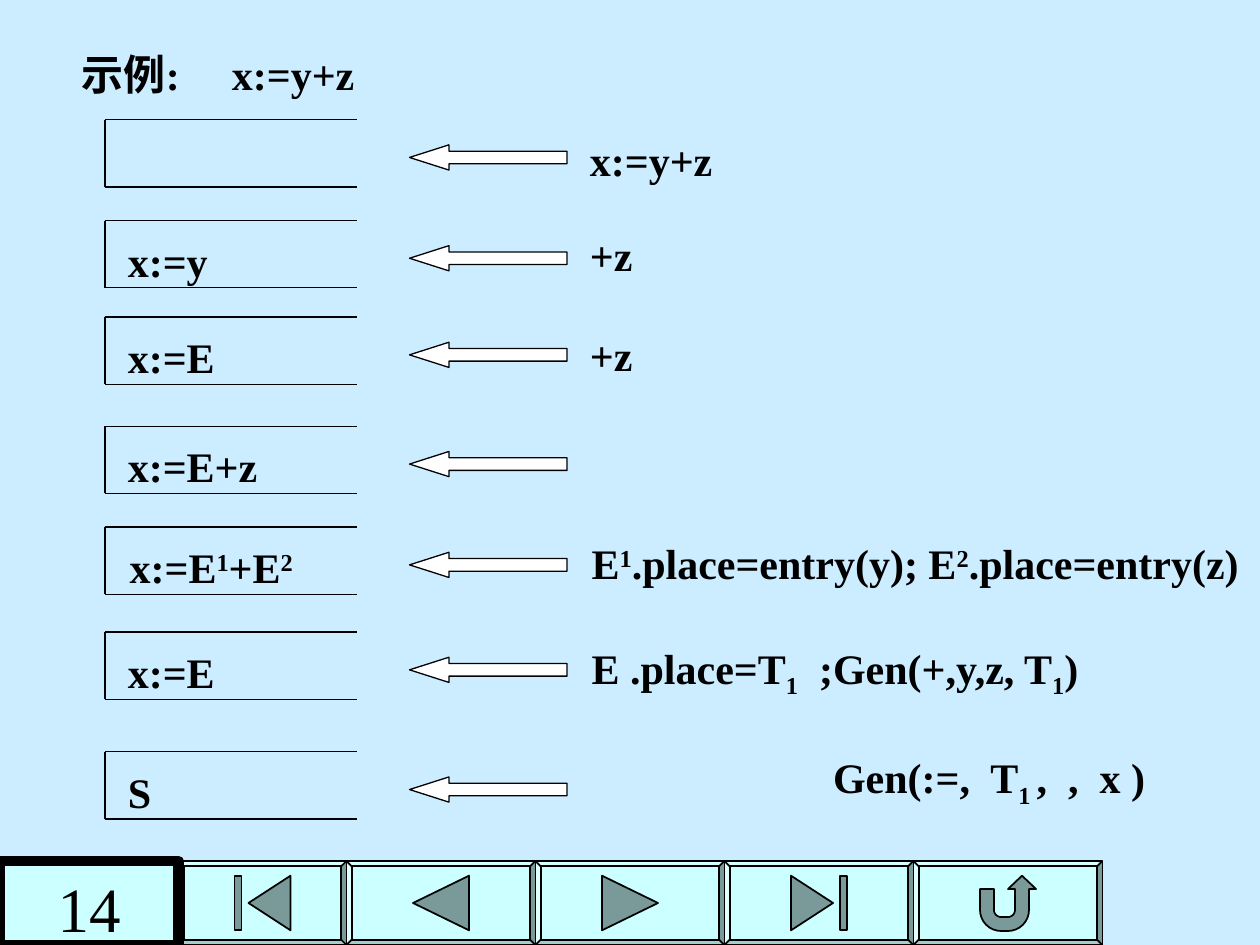
from dataclasses import dataclass
from math import cos, radians, sin

from pptx import Presentation
from pptx.dml.color import RGBColor
from pptx.enum.shapes import MSO_CONNECTOR, MSO_SHAPE
from pptx.enum.text import MSO_ANCHOR, MSO_AUTO_SIZE, PP_ALIGN
from pptx.oxml.ns import qn
from pptx.util import Pt
from lxml import etree

LINE = MSO_CONNECTOR.STRAIGHT
ARROW, BEVEL, RECT = MSO_SHAPE.LEFT_ARROW, MSO_SHAPE.BEVEL, MSO_SHAPE.RECTANGLE
TOP, BOTTOM = MSO_ANCHOR.TOP, MSO_ANCHOR.BOTTOM
LEFT, CENTER = PP_ALIGN.LEFT, PP_ALIGN.CENTER


@dataclass(frozen=True)
class Theme:
    background: RGBColor = RGBColor(0xCC, 0xEC, 0xFF)
    button: RGBColor = RGBColor(0xCC, 0xFF, 0xFF)
    icon: RGBColor = RGBColor(0x7A, 0x99, 0x99)
    ink: RGBColor = RGBColor(0, 0, 0)
    arrow: RGBColor = RGBColor(0xFF, 0xFF, 0xFF)
    font: str = "Times New Roman"
    body: int = 24
    number: int = 36
    line: float = 0.75


THEME = Theme()

# Top of the stack, stack content, right text (x, offset from top, width, runs).
# A run starting with ^ is raised, one starting with _ is lowered.
ROWS = [
    (68.4, None, (330, 5, 91, ["x:=y+z"])),
    (126, ["x:=y"], (330, 1.4, 45, ["+z"])),
    (181.2, ["x:=E"], (330, 3.8, 45, ["+z"])),
    (243.6, ["x:=E+z"], None),
    (301.2, ["x:=E", "^1", "+E", "^2"],
     (331, 2.6, 385, ["E", "^1", ".place=entry(y); E", "^2", ".place=entry(z)"])),
    (361.2, ["x:=E"],
     (331, 2.4, 298, ["E .place=T", "_1", "  ;Gen(+,y,z, T", "_1", ")"])),
    (429.6, ["S"],
     (469, -3.6, 200, ["Gen(:=,  T", "_1 ", ",  ,  x )"])),
]
BASELINES = {"^": "30000", "_": "-25000"}


def format_shape(sp, fill, width=THEME.line):
    sp.shadow.inherit = False
    sp.fill.solid()
    sp.fill.fore_color.rgb = fill
    sp.line.color.rgb = THEME.ink
    sp.line.width = Pt(width)
    return sp


def write_text(sp, runs, *, size=THEME.body, bold=True, align=LEFT, anchor=TOP,
               wrap=False, inset=3.6, tab=None):
    tf = sp.text_frame
    tf.word_wrap = wrap
    tf.auto_size = MSO_AUTO_SIZE.NONE
    tf.vertical_anchor = anchor
    tf.margin_left = tf.margin_right = Pt(7.2)
    tf.margin_top = tf.margin_bottom = Pt(inset)
    p = tf.paragraphs[0]
    p.alignment = align
    p.line_spacing = 1.0
    p.space_before = Pt(0)
    if tab:
        tabs = etree.SubElement(p._p.get_or_add_pPr(), qn("a:tabLst"))
        etree.SubElement(tabs, qn("a:tab"), pos=str(Pt(tab)), algn="l")
    for text in runs:
        r = p.add_run()
        baseline = BASELINES.get(text[0])
        r.text = text[1:] if baseline else text
        r.font.name, r.font.size, r.font.bold = THEME.font, Pt(size), bold
        r.font.color.rgb = THEME.ink
        if baseline:
            r._r.get_or_add_rPr().set("baseline", baseline)


def add_text(s, x, y, w, runs):
    write_text(s.shapes.add_textbox(Pt(x), Pt(y), Pt(w), Pt(36)), runs)


def add_line(s, x1, y1, x2, y2):
    line = s.shapes.add_connector(LINE, Pt(x1), Pt(y1), Pt(x2), Pt(y2))
    line.line.color.rgb = THEME.ink
    line.line.width = Pt(THEME.line)
    etree.SubElement(line._element.spPr, qn("a:effectLst"))


def add_title(s, x, y, w, h):
    sp = s.shapes.title
    sp.left, sp.top, sp.width, sp.height = Pt(x), Pt(y), Pt(w), Pt(h)
    write_text(sp, ["示例:\tx:=y+z"], tab=85.7)


def add_stack(s, x, y, w, h, runs):
    """Stack lying on its side, open to the right."""
    add_line(s, x, y, x + w, y)
    add_line(s, x, y, x, y + h)
    add_line(s, x, y + h, x + w, y + h)
    if runs:
        widths = {1: 28, 4: 66, 6: 89}
        width = widths.get(len(runs[0]), 66) if len(runs) == 1 else 108
        add_text(s, x + (6 if len(runs) == 1 else 7), y + 4.8, width, runs)


def add_step(s, x, top, content, right):
    add_stack(s, x, top, 144, 38.4, content)
    arrow = s.shapes.add_shape(ARROW, Pt(x + 174), Pt(top + 14.4), Pt(90), Pt(14.4))
    arrow.adjustments[1] = 1.566
    format_shape(arrow, THEME.arrow)
    if right:
        rx, offset, width, runs = right
        add_text(s, rx, top + offset, width, runs)


def arc(cx, cy, radius, start, end, steps=8):
    angles = [radians(start + (end - start) * i / steps) for i in range(steps + 1)]
    return [(cx + radius * cos(a), cy + radius * sin(a)) for a in angles]


def mirror(outlines):
    return [[(-x, y) for x, y in outline] for outline in outlines]


# Icon outlines in points around the centre of a button
PREVIOUS = [[(-16, 0), (16, -15.6), (16, 15.6)]]
FIRST = [[(-8, 0), (16, -15.6), (16, 15.6)],
         [(-16, -15.6), (-12, -15.6), (-12, 15.6), (-16, 15.6)]]
RETURN = [[(-16, -8), (-8, -8), *arc(-4, 4, 4, 180, 90), *arc(0, 4, 4, 90, 0),
           (4, -8), (0, -8), (8, -15.6), (16, -8), (12, -8),
           *arc(0, 4, 12, 0, 90), *arc(-4, 4, 12, 90, 180)]]


def add_button(s, x, y, w, h, icon):
    bevel = s.shapes.add_shape(BEVEL, Pt(x), Pt(y), Pt(w), Pt(h))
    bevel.adjustments[0] = 0.0625
    format_shape(bevel, THEME.button, 1)
    for outline in icon:
        points = [(Pt(x + w / 2 + dx), Pt(y + h / 2 + dy)) for dx, dy in outline]
        builder = s.shapes.build_freeform(*points[0])
        builder.add_line_segments(points[1:], close=True)
        format_shape(builder.convert_to_shape(), THEME.icon, 1)


def add_navigation(s, x, y, h):
    icons = [FIRST, PREVIOUS, mirror(PREVIOUS), mirror(FIRST), RETURN]
    number_w = left = 102
    for icon in icons:
        width = 96 if icon is FIRST else 108
        add_button(s, x + left, y, width, h, icon)
        left += width
    # Page number
    sp = s.shapes.add_shape(RECT, Pt(x), Pt(y), Pt(number_w), Pt(h))
    format_shape(sp, THEME.button, 6)
    write_text(sp, ["14"], size=THEME.number, bold=False, align=CENTER,
               anchor=BOTTOM, wrap=True, inset=0)


def main():
    prs = Presentation()
    prs.slide_width, prs.slide_height = Pt(720), Pt(540)
    s = prs.slides.add_slide(prs.slide_layouts[5])
    s.background.fill.solid()
    s.background.fill.fore_color.rgb = THEME.background
    add_navigation(s, 0, 492, 48)
    add_title(s, 39.6, 24, 171, 36)
    for row in ROWS:
        add_step(s, 60, *row)
    prs.save("out.pptx")


if __name__ == "__main__":
    main()
